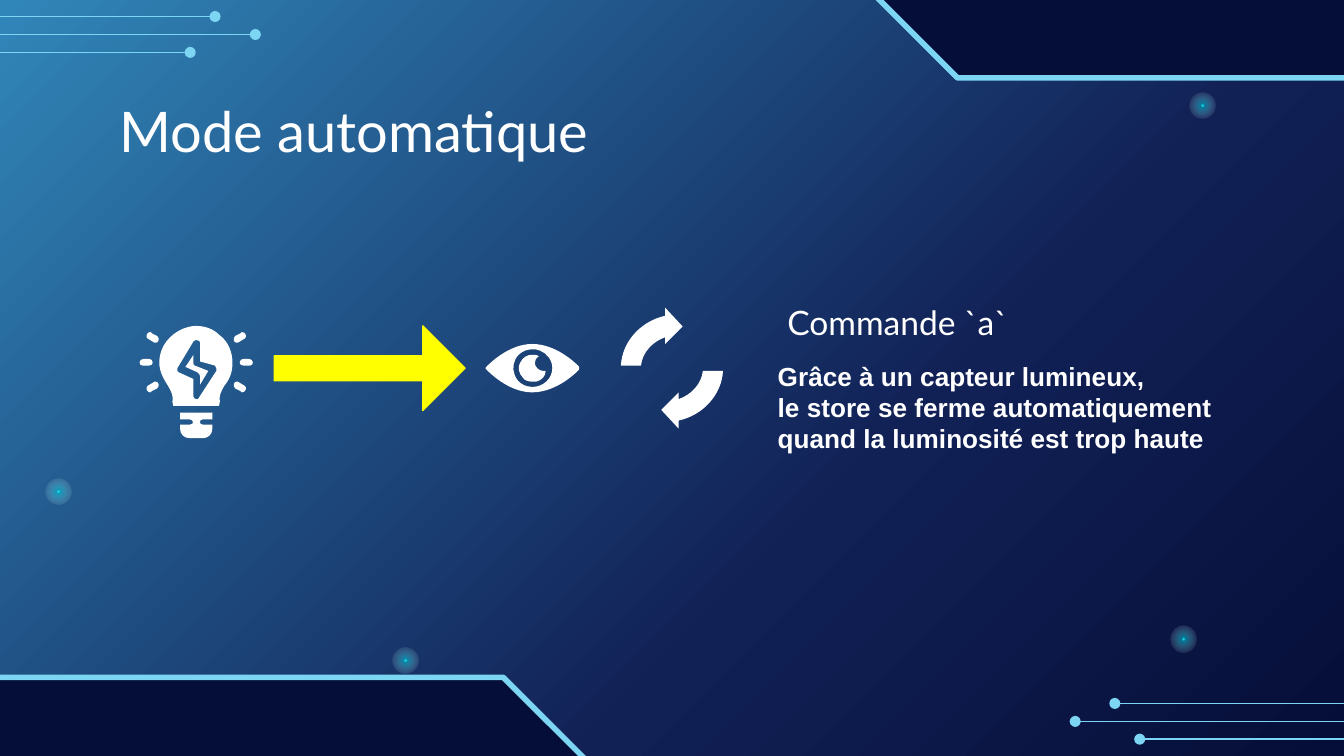
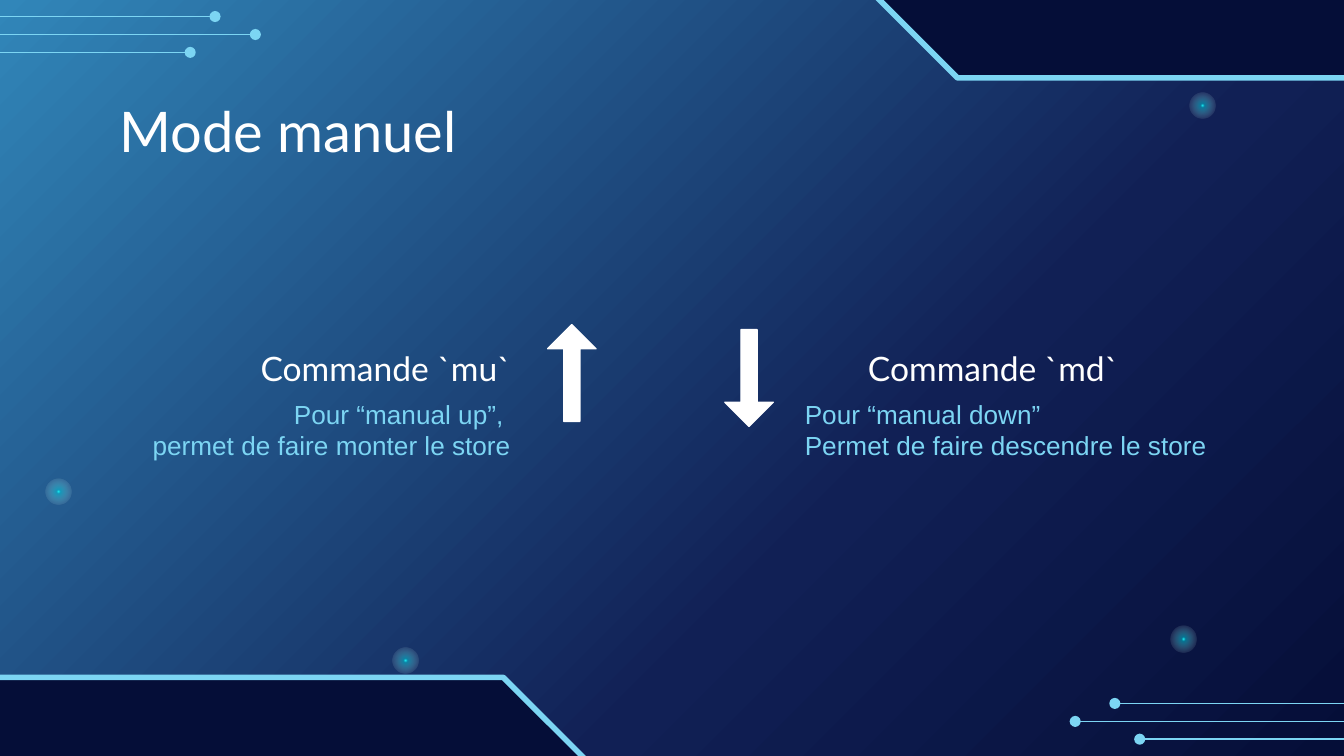
from lxml import etree
from pptx import Presentation
from pptx.dml.color import RGBColor
from pptx.enum.shapes import MSO_CONNECTOR as CONNECTOR, MSO_SHAPE as SHAPE
from pptx.enum.text import MSO_ANCHOR as ANCHOR, MSO_AUTO_SIZE as FIT, PP_ALIGN as ALIGN
from pptx.oxml.ns import qn
from pptx.util import Inches, Pt

rgb = RGBColor.from_string
WHITE, CYAN, NAVY, YELLOW = "FFFFFF", "7CD5F3", "050E38", "FFFF00"
HEADING, BODY = "Lato", "Arial"
COLUMNS, ROWS = 100, 56.25
CELL = Inches(0.1)


def cells(*counts):
    return [round(count * CELL) for count in counts]


def write(holder, paragraphs, size, font, colour, align=ALIGN.LEFT, bold=False, anchor=ANCHOR.MIDDLE):
    frame = holder.text_frame
    frame.word_wrap = True
    frame.auto_size = FIT.NONE
    frame.vertical_anchor = anchor
    frame.margin_left = frame.margin_right = frame.margin_top = frame.margin_bottom = CELL
    for index, text in enumerate(paragraphs):
        paragraph = frame.add_paragraph() if index else frame.paragraphs[0]
        paragraph.alignment = align
        for number, line in enumerate(text.split("\n")):
            if number:
                paragraph.add_line_break()
            run = paragraph.add_run()
            run.text = line
            run.font.size = Pt(size)
            run.font.name = font
            run.font.bold = bold
            run.font.color.rgb = rgb(colour)


deck = Presentation()
deck.slide_width, deck.slide_height = cells(COLUMNS, ROWS)
layout = deck.slide_layouts[5]
for placeholder in list(layout.placeholders):
    if placeholder.placeholder_format.idx:
        layout.shapes.element.remove(placeholder.element)

automatic = deck.slides.add_slide(layout)
manual = deck.slides.add_slide(layout)

layout.background.fill.gradient()
backdrop_stops = [(0, "3186B9", 100), (64, "112055", 100), (100, NAVY, 100)]
glow_stops = [(0, "21FFFF", 100), (9, "05D8E7", 48), (69, WHITE, 0), (100, WHITE, 0)]
gradients = [(layout, backdrop_stops, None)]

sparks = automatic.shapes.add_group_shape()
for left, top in [(29.2, 48.2), (88.5, 6.9), (3.4, 35.6), (87.1, 46.6)]:
    spark = sparks.shapes.add_shape(SHAPE.OVAL, *cells(left, top, 1.94, 1.94))
    spark.shadow.inherit = False
    spark.rotation = 345.4
    spark.line.fill.background()
    spark.fill.gradient()
    spark.element.spPr.find(qn("a:xfrm")).set("flipH", "1")
    gradients.append((spark, glow_stops, "circle"))

for holder, stops, direction in gradients:
    gradient = holder.element.find(".//" + qn("a:gradFill"))
    for part in list(gradient):
        gradient.remove(part)
    stop_list = etree.SubElement(gradient, qn("a:gsLst"))
    for position, colour, opacity in stops:
        stop = etree.SubElement(stop_list, qn("a:gs"), pos=str(position * 1000))
        tint = etree.SubElement(stop, qn("a:srgbClr"), val=colour)
        if opacity < 100:
            etree.SubElement(tint, qn("a:alpha"), val=str(opacity * 1000))
    if direction:
        radial = etree.SubElement(gradient, qn("a:path"), {"path": direction})
        etree.SubElement(radial, qn("a:fillToRect"), l="50000", t="50000", r="50000", b="50000")
    else:
        etree.SubElement(gradient, qn("a:lin"), ang="2700000", scaled="0")

decorations = [sparks]
for left, top, turn in [(-7.4, 50.4, 0), (64.2, -8.3, 180)]:
    band = automatic.shapes.add_shape(SHAPE.SNIP_2_SAME_RECTANGLE, *cells(left, top, 51.9, 14.1))
    band.shadow.inherit = False
    band.rotation = turn
    band.adjustments[0], band.adjustments[1] = 0.5, 0
    band.fill.solid()
    band.fill.fore_color.rgb = rgb(NAVY)
    band.line.color.rgb = rgb(CYAN)
    band.line.width = Pt(3)
    decorations.append(band)

trace_length = 23.1
for reach, ends in [
    (-trace_length, [(19, 2.57), (14.15, 3.9), (16, 1.23)]),
    (trace_length, [(80, 53.68), (84.8, 55), (82.95, 52.34)]),
]:
    circuit = automatic.shapes.add_group_shape()
    for x, y in ends:
        trace = circuit.shapes.add_connector(CONNECTOR.STRAIGHT, *cells(x + reach, y, x, y))
        trace.line.color.rgb = rgb(CYAN)
        trace.line.width = Pt(0.75)
        etree.SubElement(trace.element.spPr.find(qn("a:ln")), qn("a:tailEnd"), type="oval")
        etree.SubElement(trace.element.spPr, qn("a:effectLst"))
    decorations.append(circuit)

for decoration in decorations:
    layout.shapes.element.append(decoration.element)

for slide, heading in [(automatic, "Mode automatique"), (manual, "Mode manuel")]:
    title = slide.shapes.title
    title.left, title.top, title.width, title.height = cells(7.9, 6.5, 84.3, 6.3)
    write(title, [heading], 30, HEADING, WHITE)

ONCE = [(1, 1)]
SIDES = [(1, 1), (-1, 1)]
CORNERS = [(x, y) for x in (1, -1) for y in (1, -1)]
HALF_TURN = [(1, 1), (-1, -1)]
bulb = [
    ("M 181 267 C 178 267 177 272 181 272 L 185 272 C 186 272 186 272 186 272 C 189 272 189 267 185 267", SIDES),
    ("M 180 247 C 180 247 179 248 179 248 L 175 250 C 173 252 174 255 176 255 "
     "C 176 255 177 255 177 255 L 182 252 C 184 251 183 247 180 247", CORNERS),
    ("M 144 264 L 138 273 L 147 277 C 148 278 149 279 149 280 L 149 286 L 155 276 L 145 272 "
     "C 144 272 144 271 144 270 L 144 264", ONCE),
    ("M 134 307 L 134 312 L 141 312 C 144 312 145 316 141 316 L 134 316 L 134 319 "
     "C 134 323 137 326 141 326 L 151 326 C 155 326 158 323 158 319 L 158 316 L 151 316 "
     "C 148 316 148 312 151 312 L 158 312 L 158 307", ONCE),
    ("M 146 253 C 148 253 149 254 149 255 L 149 269 L 160 272 C 160 273 161 273 161 274 "
     "C 161 274 161 275 161 276 L 148 296 C 148 297 147 297 146 297 L 146 297 C 145 297 144 296 144 295 "
     "L 144 282 L 133 277 C 133 277 132 277 132 276 C 132 275 132 274 132 274 L 144 254 "
     "C 145 253 146 253 146 253 M 146 242.5 C 144 242.5 142 242.8 140 243.3 C 130 246 121 254 119 265 "
     "C 117 275 122 282 125 287 C 131 297 127 297 129 302 L 163 302 C 165 297 161 297 167 287 "
     "C 171 282 173 277 173 270 C 173 262 170 254 163 249 C 159 245 153 242.5 146 242.5", ONCE),
]
eye = [
    ("M 396 260 C 398 260 400 260 402 261 C 407 263 411 268 411 274 C 411 282 404 288 396 288 "
     "C 391 288 385 285 383 279 C 381 274 382 268 386 264 C 389 261 393 260 396 260 "
     "M 396 256 C 378 256 363 272 362 273 C 361 273 361 275 362 275 C 363 276 378 292 396 292 "
     "C 415 292 430 276 431 275 C 431 275 431 273 431 273 C 430 272 415 256 396 256", ONCE),
    ("M 396 264 C 392 264 389 266 387 270 C 385 273 386 278 389 281 C 390 283 393 284 396 284 "
     "C 397 284 398 284 399 284 C 403 283 406 280 406 276 L 406 276 C 406 276 405 276 404 276 "
     "C 401 276 398 273 398 270 C 398 268 399 266 401 265 C 400 264 398 264 396 264 "
     "C 396 264 396 264 396 264", ONCE),
]
cycle = [
    ("M 495 229 L 495 235 C 477 239 463 254 462 272 L 477 272 C 478 262 486 254 495 251 "
     "L 495 256 L 508 243 L 495 229", HALF_TURN),
]

for icon, centre_x, centre_y in [(bulb, 146, 269.5), (eye, 396, 274), (cycle, 500, 274)]:
    group = automatic.shapes.add_group_shape()
    for outline, mirrors in icon:
        contours = []
        curve_starts = []
        corner_count = 0
        for segment in outline.replace("M", "|M").replace("L", "|L").replace("C", "|C").split("|")[1:]:
            command, *numbers = segment.split()
            points = list(zip(map(float, numbers[::2]), map(float, numbers[1::2])))
            if command == "M":
                contours.append(points)
                continue
            if command == "C":
                curve_starts.append(corner_count)
            contours[-1].extend(points)
            corner_count += len(points)
        for flip_x, flip_y in mirrors:
            placed = [[cells((centre_x + flip_x * (x - centre_x)) / 10, (centre_y + flip_y * (y - centre_y)) / 10)
                       for x, y in contour] for contour in contours]
            builder = group.shapes.build_freeform(*placed[0][0])
            for index, contour in enumerate(placed):
                if index:
                    builder.move_to(*contour[0])
                builder.add_line_segments(contour[1:], close=True)
            piece = builder.convert_to_shape()
            piece.shadow.inherit = False
            piece.fill.solid()
            piece.fill.fore_color.rgb = rgb(WHITE)
            piece.line.fill.background()
            corners = list(piece.element.iter(qn("a:lnTo")))
            for start in curve_starts:
                curve = etree.Element(qn("a:cubicBezTo"))
                corners[start].addprevious(curve)
                for corner in corners[start:start + 3]:
                    curve.append(corner[0])
                    corner.getparent().remove(corner)

for slide, kind, box, turn, thickness, colour in [
    (automatic, SHAPE.RIGHT_ARROW, (20.4, 24.25, 14.2, 6.3), 0, 0.293, YELLOW),
    (manual, SHAPE.UP_ARROW, (40.75, 24.15, 3.6, 7.2), 0, 0.333, WHITE),
    (manual, SHAPE.UP_ARROW, (53.93, 24.53, 3.6, 7.2), 180, 0.333, WHITE),
]:
    arrow = slide.shapes.add_shape(kind, *cells(*box))
    arrow.shadow.inherit = False
    arrow.rotation = turn
    arrow.adjustments[0], arrow.adjustments[1] = thickness, 0.5
    arrow.fill.solid()
    arrow.fill.fore_color.rgb = rgb(colour)
    arrow.line.color.rgb = rgb(colour)
    arrow.line.width = Pt(0.75)

explanation = automatic.shapes.add_textbox(*cells(56.88, 25.84, 39.9, 8.9))
write(explanation, ["Grâce à un capteur lumineux,",
                    "le store se ferme automatiquement quand la luminosité est trop haute"],
      14, BODY, WHITE, bold=True)
command_label = automatic.shapes.add_textbox(*cells(57.6, 21.5, 32.8, 5))
write(command_label, ["Commande `a`"], 18, HEADING, WHITE, anchor=ANCHOR.TOP)

for label, label_left, details, details_left, details_width, align in [
    ("Commande `mu`", 13.7, ["Pour “manual up”, ", "permet de faire monter le store"], 7.1, 31.9, ALIGN.RIGHT),
    ("Commande `md`", 58.9, ["Pour “manual down”\nPermet de faire descendre le store"], 58.9, 36.3, ALIGN.LEFT),
]:
    command_label = manual.shapes.add_textbox(*cells(label_left, 25.5, 25.3, 3.8))
    write(command_label, [label], 18, HEADING, WHITE, ALIGN.RIGHT)
    explanation = manual.shapes.add_textbox(*cells(details_left, 29.3, details_width, 5.3))
    write(explanation, details, 14, BODY, CYAN, align)

deck.save("out.pptx")
